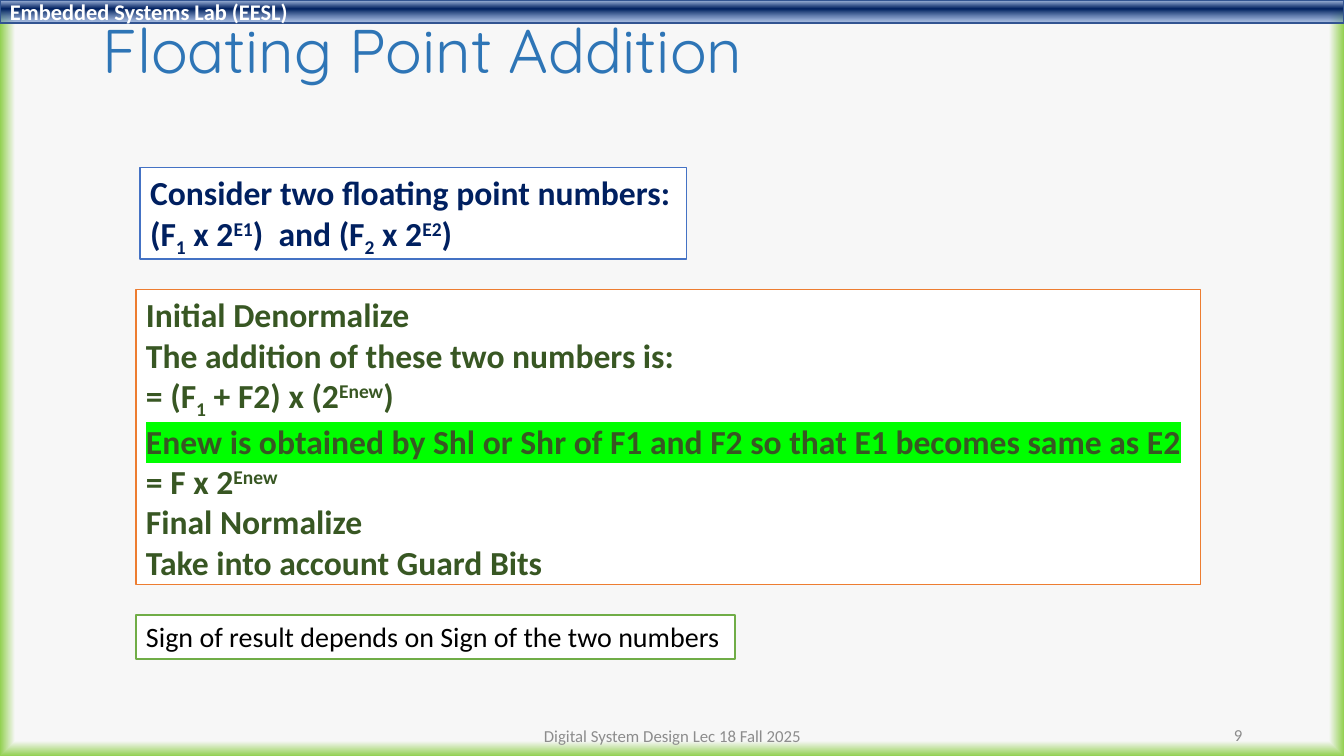
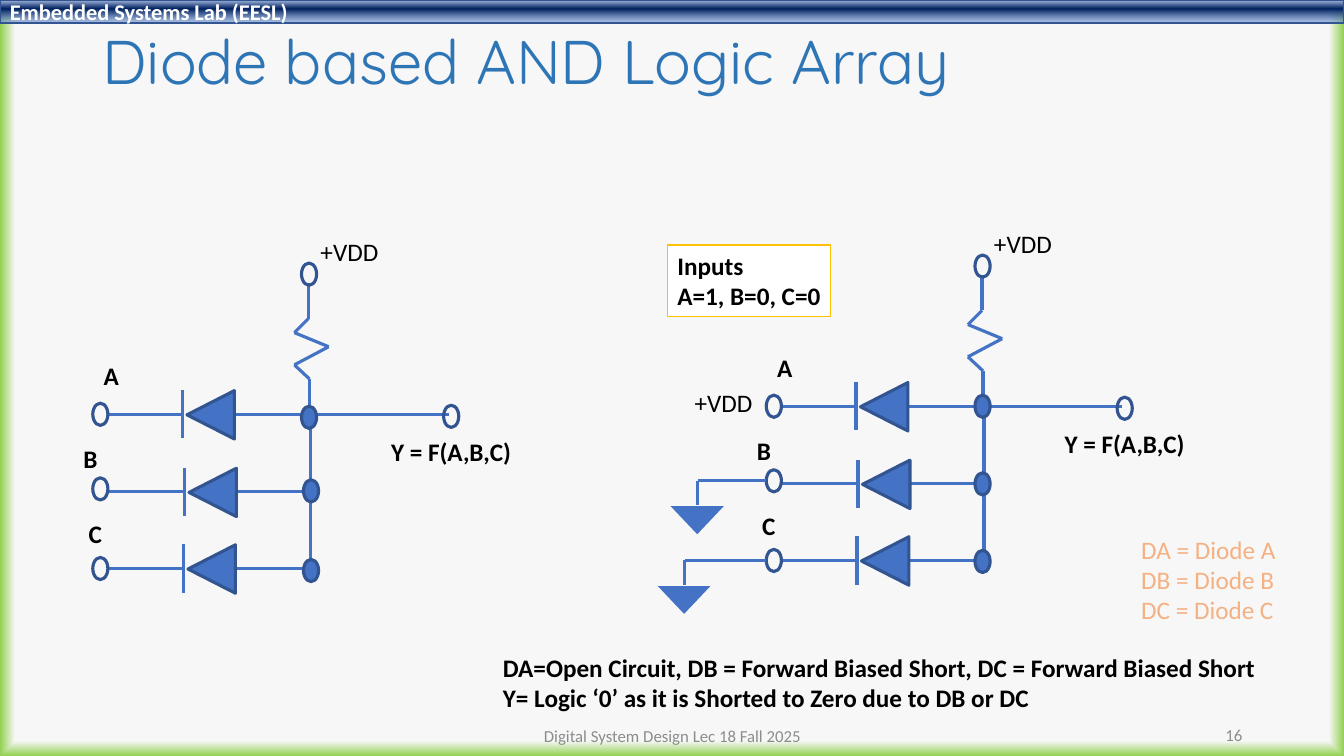
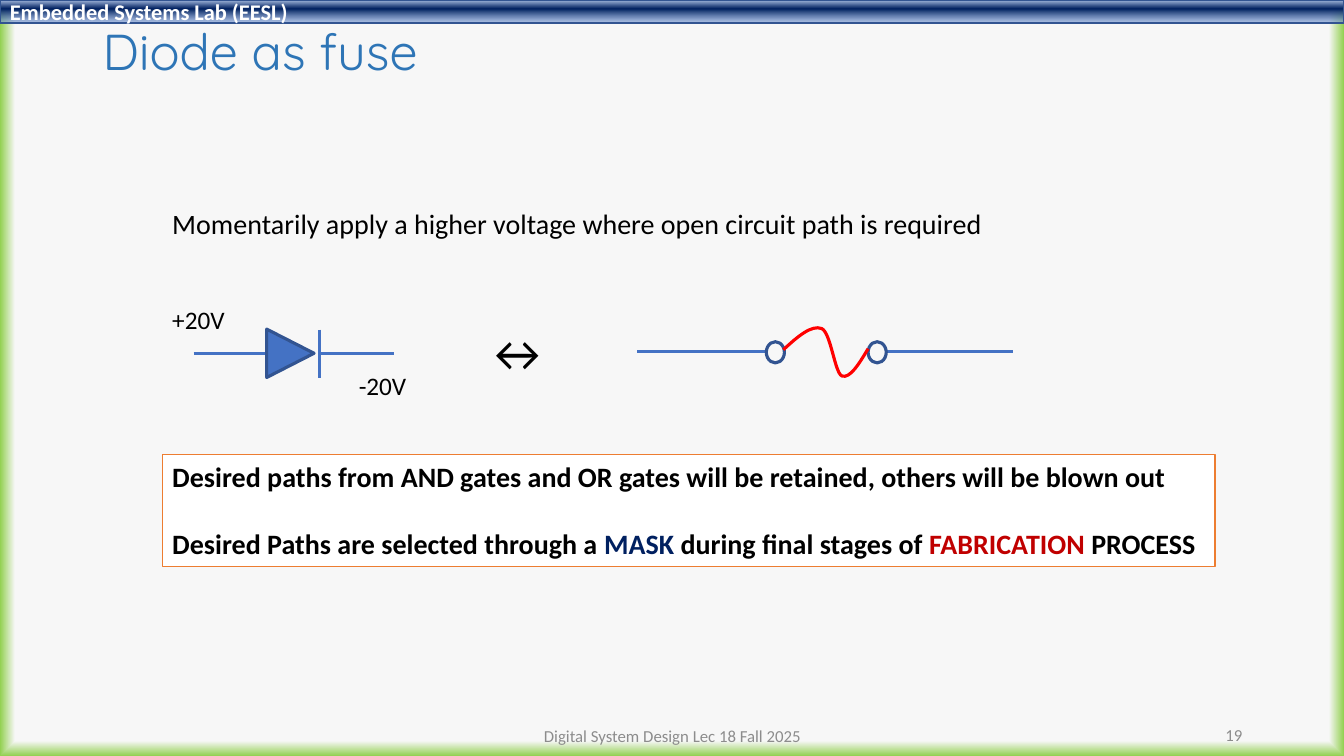
"""Build three lecture slides on floating point addition and diode logic."""
from copy import deepcopy

from lxml import etree
from pptx import Presentation
from pptx.dml.color import RGBColor
from pptx.enum.dml import MSO_PATTERN
from pptx.enum.shapes import MSO_CONNECTOR, MSO_SHAPE
from pptx.enum.text import MSO_ANCHOR, MSO_AUTO_SIZE, PP_ALIGN
from pptx.oxml.ns import qn
from pptx.util import Inches, Pt

RECT, OVAL, TRIANGLE = MSO_SHAPE.RECTANGLE, MSO_SHAPE.OVAL, MSO_SHAPE.ISOSCELES_TRIANGLE
STRAIGHT = MSO_CONNECTOR.STRAIGHT
DARK_HORIZONTAL = MSO_PATTERN.DARK_HORIZONTAL
LEFT, CENTER, RIGHT = PP_ALIGN.LEFT, PP_ALIGN.CENTER, PP_ALIGN.RIGHT
TOP, MIDDLE = MSO_ANCHOR.TOP, MSO_ANCHOR.MIDDLE
FIT, NO_FIT = MSO_AUTO_SIZE.SHAPE_TO_FIT_TEXT, MSO_AUTO_SIZE.NONE

WHITE = RGBColor(0xFF, 0xFF, 0xFF)
BLACK = RGBColor(0, 0, 0)
PAPER = RGBColor(0xF7, 0xF7, 0xF7)
LIME = RGBColor(0x92, 0xD0, 0x50)
NAVY = RGBColor(0x00, 0x20, 0x60)
PALE_BLUE = RGBColor(0xAB, 0xC0, 0xE4)
MID_BLUE = RGBColor(0x7E, 0x9E, 0xD6)
TITLE_BLUE = RGBColor(0x2E, 0x75, 0xB6)
BLUE = RGBColor(0x44, 0x72, 0xC4)
OUTLINE = RGBColor(0x32, 0x54, 0x91)
ORANGE = RGBColor(0xED, 0x7D, 0x31)
PEACH = RGBColor(0xF4, 0xB1, 0x83)
GOLD = RGBColor(0xFF, 0xC0, 0x00)
GREEN = RGBColor(0x70, 0xAD, 0x47)
DARK_GREEN = RGBColor(0x38, 0x57, 0x23)
RED = RGBColor(0xFF, 0, 0)
DARK_RED = RGBColor(0xC0, 0, 0)
GREY = RGBColor(0x8C, 0x8C, 0x8C)

SUB, SUPER = {"baseline": "-25000"}, {"baseline": "30000"}
MARKED = {"highlight": "00FF00"}


def add_box(slide, at, paragraphs=(), kind=None, fill=None, line=None, width=1, turn=0,
            size=18, color=BLACK, bold=False, font="Calibri", align=LEFT, anchor=TOP,
            wrap=False):
    """Add a shape of the given kind, or a text box, with formatted text."""
    place = [Inches(length) for length in at]
    if kind is None:
        box = slide.shapes.add_textbox(*place)
    else:
        box = slide.shapes.add_shape(kind, *place)
        box.shadow.inherit = False
        box.rotation = turn
        if fill is None:
            box.fill.background()
        else:
            box.fill.solid()
            box.fill.fore_color.rgb = fill
        if line is None:
            box.line.fill.background()
        else:
            box.line.color.rgb = line
            box.line.width = Pt(width)
    if not paragraphs:
        return box
    frame = box.text_frame
    frame.word_wrap = wrap
    frame.auto_size = NO_FIT if wrap else FIT
    frame.vertical_anchor = anchor
    for index, parts in enumerate(paragraphs):
        paragraph = frame.add_paragraph() if index else frame.paragraphs[0]
        paragraph.alignment = align
        for part in [parts] if isinstance(parts, str) else parts:
            words, extra = (part, {}) if isinstance(part, str) else part
            run = paragraph.add_run()
            run.text = words
            run.font.size = Pt(size)
            run.font.bold = bold
            run.font.name = font
            run.font.color.rgb = extra.get("color", color)
            properties = run._r.get_or_add_rPr()
            if "baseline" in extra:
                properties.set("baseline", extra["baseline"])
            if "highlight" in extra:
                highlight = etree.Element(qn("a:highlight"))
                etree.SubElement(highlight, qn("a:srgbClr"), val=extra["highlight"])
                properties.find(qn("a:solidFill")).addnext(highlight)
    return box


def add_wire(slide, *points):
    """Join the points in turn with straight blue connectors."""
    for start, end in zip(points, points[1:]):
        wire = slide.shapes.add_connector(
            STRAIGHT, *[Inches(length) for length in (*start, *end)])
        wire.line.color.rgb = BLUE
        wire.line.width = Pt(2.25)
        etree.SubElement(wire._element.spPr, qn("a:effectLst"))


prs = Presentation()
prs.slide_width, prs.slide_height = Inches(13.33), Inches(7.5)

backdrop = prs.slide_master.background.fill
backdrop.gradient()
for stop, color, position in zip(backdrop.gradient_stops, (PAPER, LIME), (0.96, 1)):
    stop.color.rgb = color
    stop.position = position
backdrop_gradient = prs.slide_master.element.find(".//" + qn("a:gradFill"))
backdrop_gradient.remove(backdrop_gradient.find(qn("a:lin")))
glow = etree.SubElement(backdrop_gradient, qn("a:path"), path="shape")
etree.SubElement(glow, qn("a:fillToRect"), l="50000", t="50000", r="50000", b="50000")

slides = []
for title, number, title_height, title_size in (
        ("Floating Point Addition", "9", 0.77, 44),
        ("Diode based AND Logic Array", "16", 0.98, 44),
        ("Diode as fuse", "19", 0.77, 36)):
    slide = prs.slides.add_slide(prs.slide_layouts[6])
    slides.append(slide)
    band = add_box(slide, (0, 0, 13.33, 0.23), ["Embedded Systems Lab (EESL)"], kind=RECT,
                   fill=NAVY, line=OUTLINE, size=16, color=WHITE, bold=True,
                   anchor=MIDDLE, wrap=True)
    band.fill.gradient()
    band.fill.gradient_angle = 270
    stop_list = band._element.spPr.find(qn("a:gradFill")).find(qn("a:gsLst"))
    stop_list.append(deepcopy(stop_list[1]))
    for stop, color, position in zip(band.fill.gradient_stops,
                                     (PALE_BLUE, NAVY, MID_BLUE), (0.02, 0.38, 0.93)):
        stop.color.rgb = color
        stop.position = position
    etree.SubElement(stop_list[2].find(qn("a:srgbClr")), qn("a:alpha"), val="64000")
    heading = add_box(slide, (0.92, 0.15, 11.5, title_height), [title], size=title_size,
                      color=TITLE_BLUE, font="Quicksand", anchor=MIDDLE, wrap=True)
    heading.text_frame.paragraphs[0].line_spacing = 0.9
    add_box(slide, (9.42, 7.09, 3, 0.4), [number], size=12, color=GREY, align=RIGHT,
            anchor=MIDDLE, wrap=True)
    add_box(slide, (4.42, 7.1, 4.5, 0.4), ["Digital System Design Lec 18 Fall 2025"],
            size=12, color=GREY, align=CENTER, anchor=MIDDLE, wrap=True)
addition, logic_array, fuse = slides

add_box(addition, (1.39, 1.66, 5.42, 0.91), [
    "Consider two floating point numbers:",
    ["(F", ("1", SUB), " x 2", ("E1", SUPER), ")\u00a0 and (F".replace("\u00a0", " "),
     ("2", SUB), " x 2", ("E2", SUPER), ")"],
], kind=RECT, fill=WHITE, line=BLUE, size=24, color=NAVY, bold=True)
add_box(addition, (1.35, 2.87, 10.56, 2.93), [
    "Initial Denormalize",
    "The addition of these two numbers is:",
    ["= (F", ("1", SUB), " + F2) x (2", ("Enew", SUPER), ")"],
    [("Enew is obtained by Shl or Shr of F1 and F2 so that E1 becomes same as E2", MARKED)],
    ["= F x 2", ("Enew", SUPER)],
    "Final Normalize",
    "Take into account Guard Bits",
], kind=RECT, fill=WHITE, line=ORANGE, size=24, color=DARK_GREEN, bold=True)
add_box(addition, (1.35, 6.1, 5.94, 0.44),
        ["Sign of result depends on Sign of the two numbers"],
        kind=RECT, fill=WHITE, line=GREEN, size=20)

for dx, dy, junctions in (
        (0, 0, ((2.99, 4.03), (3.01, 4.76), (3.01, 5.55))),
        (6.68, -0.08, ((9.67, 3.92), (9.67, 4.69), (9.67, 5.46)))):
    resistor = ((3.06, 2.81), (3.06, 3.16), (2.92, 3.3), (3.26, 3.44), (2.92, 3.62),
                (3.07, 3.76), (3.07, 4.11))
    add_wire(logic_array, *[(x + dx, y + dy) for x, y in resistor])
    add_wire(logic_array, (3.04 + dx, 4.11 + dy), (4.45 + dx, 4.11 + dy))
    add_wire(logic_array, (3.08 + dx, 4.08 + dy), (3.08 + dx, 5.64 + dy))
    for row_y, shift in ((4.11, 0), (4.88, 0.02), (5.64, 0.01)):
        x, y = dx + shift, row_y + dy
        add_wire(logic_array, (3.06 + x, y), (2.33 + x, y))
        add_box(logic_array, (1.85 + x, y - 0.23, 0.48, 0.47), kind=TRIANGLE, fill=BLUE,
                line=OUTLINE, width=2.25, turn=270)
        add_wire(logic_array, (1.81 + x, y + 0.24), (1.81 + x, y - 0.24))
        add_wire(logic_array, (1.81 + x, y), (1.07 + dx, y))
    for x, y in ((4.4, 4.02), (2.99, 2.61), (0.92, 4), (0.92, 4.74), (0.92, 5.53)):
        add_box(logic_array, (x + dx, y + dy, 0.15, 0.22), kind=OVAL, line=OUTLINE,
                width=2.25)
    for x, y in junctions:
        add_box(logic_array, (x, y, 0.15, 0.22), kind=OVAL, fill=BLUE, line=OUTLINE,
                width=2.25)
    for label, x, y, width, bold in (
            ("+VDD", 3.08, 2.3, 0.78, False), ("A", 0.93, 3.53, 0.35, True),
            ("B", 0.73, 4.35, 0.34, True), ("C", 0.78, 5.09, 0.34, True),
            ("Y = F(A,B,C)", 3.78, 4.28, 1.41, True)):
        add_box(logic_array, (x + dx, y + dy, width, 0.4), [label], bold=bold)

for ground_x, input_y in ((6.92, 4.77), (6.79, 5.56)):
    add_wire(logic_array, (7.6, input_y), (ground_x, input_y), (ground_x, input_y + 0.24))
    ground = add_box(logic_array, (ground_x - 0.27, input_y + 0.25, 0.53, 0.28),
                     kind=TRIANGLE, turn=180)
    ground.fill.patterned()
    ground.fill.pattern = DARK_HORIZONTAL
    ground.fill.fore_color.rgb = BLUE
    ground.fill.back_color.rgb = WHITE

add_box(logic_array, (6.79, 3.79, 0.78, 0.4), ["+VDD"])
add_box(logic_array, (4.89, 6.42, 7.73, 0.71), [
    "DA=Open Circuit, DB = Forward Biased Short, DC = Forward Biased Short",
    "Y= Logic ‘0’ as it is Shorted to Zero due to DB or DC",
], bold=True)
add_box(logic_array, (6.62, 2.43, 1.62, 0.71), ["Inputs", "A=1, B=0, C=0"],
        kind=RECT, fill=WHITE, line=GOLD, bold=True)
add_box(logic_array, (11.22, 5.25, 1.55, 1.01),
        [f"D{name} = Diode {name}" for name in "ABC"], color=PEACH)

add_wire(fuse, (1.92, 3.51), (2.65, 3.51))
add_box(fuse, (2.64, 3.27, 0.48, 0.47), kind=TRIANGLE, fill=BLUE, line=OUTLINE,
        width=2.25, turn=90)
add_wire(fuse, (3.17, 3.27), (3.17, 3.75))
add_wire(fuse, (3.17, 3.51), (3.91, 3.51))

add_wire(fuse, (6.32, 3.49), (7.6, 3.49))
add_wire(fuse, (8.79, 3.49), (10.05, 3.49))
for terminal_x in (7.6, 8.61):
    add_box(fuse, (terminal_x, 3.39, 0.18, 0.21), kind=OVAL, line=OUTLINE, width=2.25)

curve_points = ((7.91, 3.34), (8.05, 3.22), (8.15, 3.26), (8.24, 3.3), (8.28, 3.7),
                (8.35, 3.73), (8.43, 3.76), (8.52, 3.61), (8.61, 3.46))
builder = fuse.shapes.build_freeform(Inches(7.77), Inches(3.47))
builder.add_line_segments([(Inches(x), Inches(y)) for x, y in curve_points], close=False)
fuse_link = builder.convert_to_shape()
fuse_link.shadow.inherit = False
fuse_link.fill.background()
fuse_link.line.color.rgb = RED
fuse_link.line.width = Pt(2.25)
segments = list(fuse_link._element.iter(qn("a:lnTo")))
for first in range(0, len(segments), 3):
    bend = etree.Element(qn("a:cubicBezTo"))
    segments[first].addprevious(bend)
    for segment in segments[first:first + 3]:
        bend.append(segment[0])
        segment.getparent().remove(segment)

add_box(fuse, (1.61, 2, 8.31, 0.44),
        ["Momentarily apply a higher voltage where open circuit path is required"], size=20)
add_box(fuse, (4.71, 3.14, 0.85, 0.71), ["↔"], size=36)
paths_note = add_box(fuse, (1.61, 4.51, 10.44, 1.11), [
    "Desired paths from AND gates and OR gates will be retained, others will be blown out",
    ["Desired Paths are selected through a ", ("MASK", {"color": NAVY}),
     " during final stages of ", ("FABRICATION", {"color": DARK_RED}), " PROCESS"],
], kind=RECT, fill=WHITE, line=ORANGE, size=20, bold=True)
paths_note.text_frame.paragraphs[1].space_before = Pt(24)
add_box(fuse, (1.61, 2.97, 0.73, 0.4), ["+20V"])
add_box(fuse, (3.46, 3.62, 0.68, 0.4), ["-20V"])

prs.save("out.pptx")
